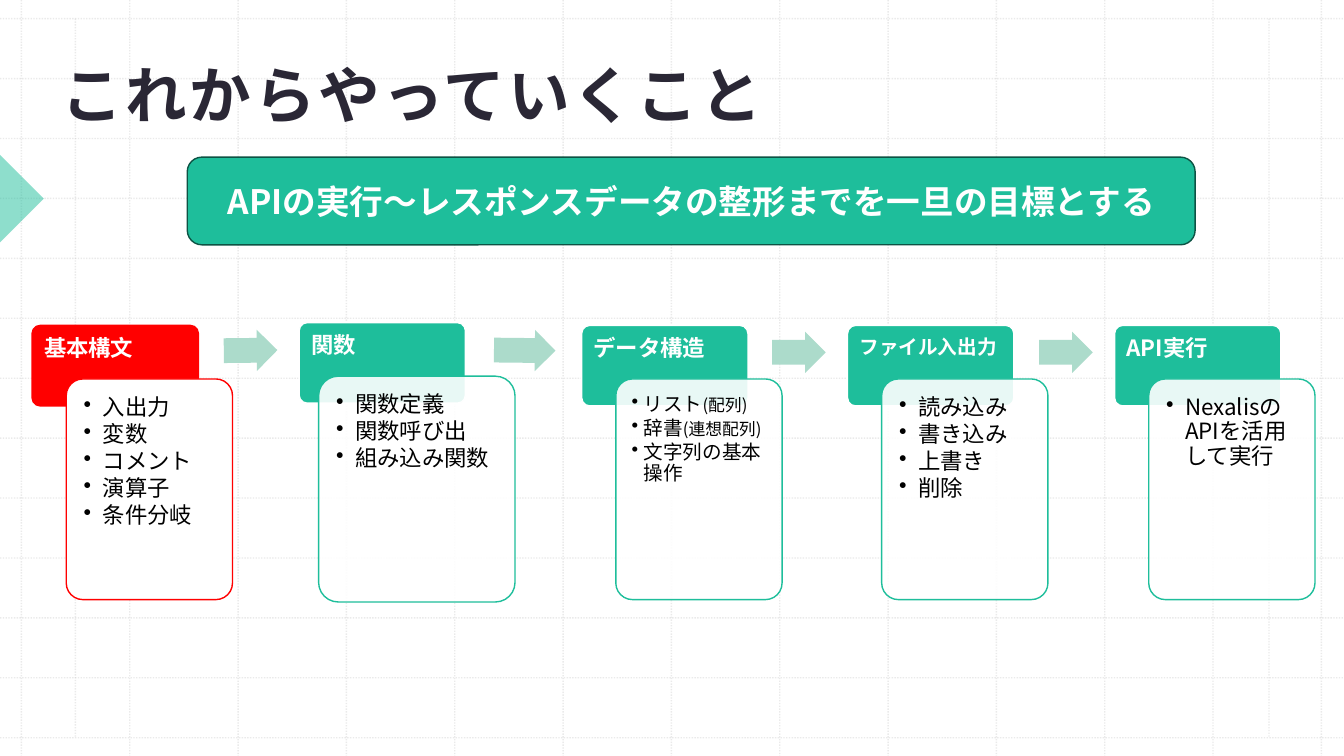
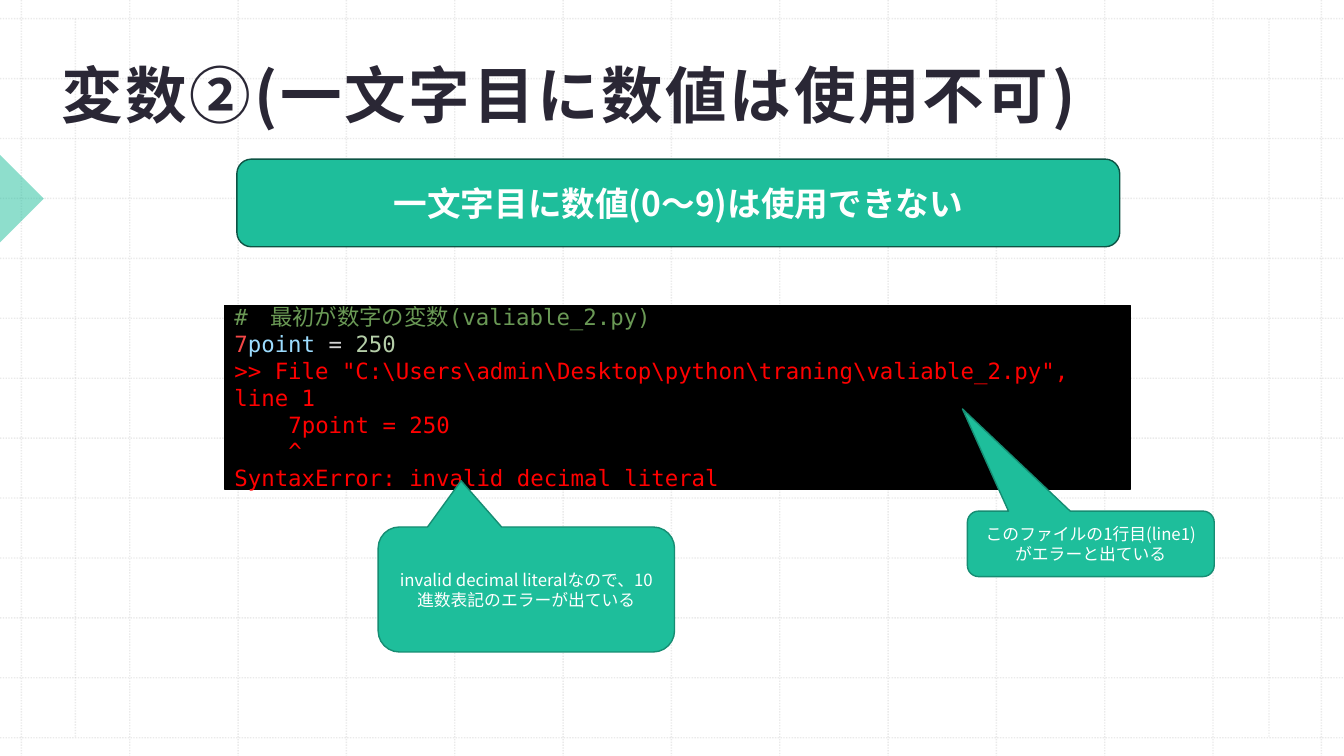
"""Build two Python training slides: the roadmap and a variable naming rule."""
from dataclasses import dataclass
from typing import Optional

import lxml.etree
import pptx
import pptx.dml.color
import pptx.enum.dml
import pptx.enum.shapes
import pptx.enum.text
import pptx.oxml.ns
import pptx.shapes.autoshape
import pptx.slide
import pptx.text.text
import pptx.util

Cm = pptx.util.Cm
Pt = pptx.util.Pt
RGBColor = pptx.dml.color.RGBColor
SHAPE = pptx.enum.shapes.MSO_SHAPE
ALIGN = pptx.enum.text.PP_ALIGN
ANCHOR = pptx.enum.text.MSO_ANCHOR
qn = pptx.oxml.ns.qn

GREEN = RGBColor(0x1E, 0xBE, 0x9B)
DARK_GREEN = RGBColor(0x0D, 0x53, 0x44)
MID_GREEN = RGBColor(0x16, 0x8D, 0x73)
PALE_GREEN = RGBColor(0xAC, 0xDB, 0xCB)
INK = RGBColor(0x2A, 0x27, 0x35)
GRID = RGBColor(0xBC, 0xBC, 0xBC)
WHITE = RGBColor(0xFF, 0xFF, 0xFF)
BLACK = RGBColor(0, 0, 0)
RED = RGBColor(0xFF, 0, 0)
CODE_COMMENT = RGBColor(0x6A, 0x99, 0x55)
CODE_INVALID = RGBColor(0xF4, 0x47, 0x47)
CODE_NAME = RGBColor(0x9C, 0xDC, 0xFE)
CODE_OPERATOR = RGBColor(0xD4, 0xD4, 0xD4)
CODE_NUMBER = RGBColor(0xB5, 0xCE, 0xA8)

FONT = "Noto Sans CJK JP"
MONO = "DejaVu Sans Mono"
WIDTH, HEIGHT = 33.87, 19.05


@dataclass(frozen=True)
class Box:
    """A rectangle in centimetres."""
    x: float
    y: float
    w: float
    h: float

    def inset(self, d: float) -> "Box":
        """Return the box shrunk by d on every side."""
        return Box(self.x + d, self.y + d, self.w - 2 * d, self.h - 2 * d)


@dataclass(frozen=True)
class Span:
    """A piece of text with one format."""
    text: str
    size: float = 16
    color: RGBColor = BLACK
    bold: bool = False
    font: str = FONT


@dataclass(frozen=True)
class Card:
    """A roadmap step: a heading tab and a bullet panel."""
    x: float
    title: str
    items: list[list[Span]]
    y: float = 8.2
    shift: float = 0.86
    w: float = 4.19
    h: float = 5.56
    color: RGBColor = GREEN
    border: RGBColor = WHITE
    alpha: int = 90
    title_size: float = 16
    margin: float = 0.31
    indent: float = 0.48


@dataclass(frozen=True)
class Arrow:
    """An arrow between two steps."""
    x: float
    y: float = 8.36
    w: float = 1.35
    rotation: float = 0


@dataclass(frozen=True)
class Callout:
    """A speech bubble and its pointer adjustments."""
    box: Box
    text: str
    adjust: tuple[float, ...]


def set_alpha(element: lxml.etree.ElementBase, percent: int) -> None:
    """Make the first colour under the element translucent."""
    color = element.find(".//" + qn("a:srgbClr"))
    lxml.etree.SubElement(color, qn("a:alpha")).set("val", str(percent * 1000))


def write(tf: pptx.text.text.TextFrame, lines: list[list[Span]]) -> None:
    """Fill a text frame with paragraphs of formatted spans."""
    tf.word_wrap = True
    for i, spans in enumerate(lines):
        p = tf.paragraphs[0] if i == 0 else tf.add_paragraph()
        p.text = spans[0].text
        for span in spans[1:]:
            p.add_run().text = span.text
        for r, span in zip(p.runs, spans):
            r.font.size = Pt(span.size)
            r.font.bold = span.bold
            r.font.name = span.font
            r.font.color.rgb = span.color
            east = lxml.etree.SubElement(r.font._element, qn("a:ea"))
            east.set("typeface", FONT)


def set_margins(tf: pptx.text.text.TextFrame, side: float, bottom: float) -> None:
    """Set equal left, top and right margins and a separate bottom one."""
    tf.margin_left = tf.margin_top = tf.margin_right = Cm(side)
    tf.margin_bottom = Cm(bottom)


def add_text(s: pptx.slide.Slide, box: Box, lines: list[list[Span]],
             side: float, bottom: float, spacing: float = 0.9) -> pptx.text.text.TextFrame:
    """Add a text box."""
    tf = s.shapes.add_textbox(Cm(box.x), Cm(box.y), Cm(box.w), Cm(box.h)).text_frame
    write(tf, lines)
    set_margins(tf, side, bottom)
    for p in tf.paragraphs:
        p.line_spacing = spacing
    return tf


def add_shape(s: pptx.slide.Slide, kind: SHAPE, box: Box, fill: RGBColor,
              line: Optional[RGBColor] = None, adjust: tuple[float, ...] = (),
              alpha: int = 100) -> pptx.shapes.autoshape.Shape:
    """Add a flat preset shape."""
    sp = s.shapes.add_shape(kind, Cm(box.x), Cm(box.y), Cm(box.w), Cm(box.h))
    sp.shadow.inherit = False
    sp.fill.solid()
    sp.fill.fore_color.rgb = fill
    if alpha < 100:
        set_alpha(sp._element.spPr, alpha)
    if line is None:
        sp.line.fill.background()
    else:
        sp.line.color.rgb = line
        sp.line.width = Pt(1)
    for i, value in enumerate(adjust):
        sp.adjustments[i] = value
    return sp


def add_label(sp: pptx.shapes.autoshape.Shape, span: Span) -> None:
    """Centre one line of text in a shape."""
    write(sp.text_frame, [[span]])
    sp.text_frame.vertical_anchor = ANCHOR.MIDDLE
    sp.text_frame.paragraphs[0].alignment = ALIGN.CENTER


def add_grid_line(s: pptx.slide.Slide, x1: float, y1: float, x2: float, y2: float) -> None:
    """Add one dotted background line."""
    line = s.shapes.add_connector(pptx.enum.shapes.MSO_CONNECTOR.STRAIGHT,
                                  Cm(x1), Cm(y1), Cm(x2), Cm(y2))
    line.line.color.rgb = GRID
    line.line.width = Pt(1)
    line.line.dash_style = pptx.enum.dml.MSO_LINE.ROUND_DOT
    set_alpha(line._element.spPr, 30)
    lxml.etree.SubElement(line._element.spPr, qn("a:effectLst"))


def add_page(prs: pptx.presentation.Presentation, title: str, banner: str,
             banner_box: Box) -> pptx.slide.Slide:
    """Add a slide with the grid, side marker, title and banner."""
    s = prs.slides.add_slide(prs.slide_layouts[6])
    s.background.fill.solid()
    s.background.fill.fore_color.rgb = WHITE
    for i in range(13):
        x, y = 0.54 + 2.73 * i, 0.47 + 1.51 * i
        add_grid_line(s, x, 0, x, HEIGHT)
        add_grid_line(s, 0, y, WIDTH, y)
    for x in (1.9, 31.98):
        add_grid_line(s, x, 0.47, x, 18.57)
    marker = add_shape(s, SHAPE.RIGHT_TRIANGLE, Box(-0.79, 4.22, 1.57, 1.57), GREEN, alpha=50)
    marker.rotation = 225
    tf = add_text(s, Box(1.24, 1.19, 28.68, 2.36), [[Span(title, 44, INK, True)]],
                  0.31, 0.25, 1.13)
    tf.vertical_anchor = ANCHOR.BOTTOM
    tf.paragraphs[0].runs[0].font._element.set("spc", "190")
    sp = add_shape(s, SHAPE.ROUNDED_RECTANGLE, banner_box, GREEN, DARK_GREEN)
    add_label(sp, Span(banner, 24, WHITE, True))
    return s


def add_card(s: pptx.slide.Slide, card: Card) -> None:
    """Draw one roadmap step."""
    tab = Box(card.x, card.y, 4.19, 2.03)
    panel = Box(card.x + card.shift, card.y + 1.35, card.w, card.h)
    add_shape(s, SHAPE.ROUNDED_RECTANGLE, tab, card.color, card.border, (0.1,))
    add_text(s, Box(tab.x, tab.y, tab.w, 1.35),
             [[Span(card.title, card.title_size, WHITE, True)]], 0.3, 0.17)
    add_shape(s, SHAPE.ROUNDED_RECTANGLE, panel, WHITE, card.color, (0.1,), card.alpha)
    tf = add_text(s, panel.inset(0.13), card.items, card.margin, card.margin)
    for p in tf.paragraphs:
        p.space_after = Pt(2)
        pPr = p._p.get_or_add_pPr()
        pPr.set("marL", str(Cm(card.indent)))
        pPr.set("indent", str(-Cm(card.indent)))
        lxml.etree.SubElement(pPr, qn("a:buChar")).set("char", "•")


def bullets(*texts: str) -> list[list[Span]]:
    """Turn plain texts into bullet paragraphs."""
    return [[Span(text)] for text in texts]


def code(text: str, color: RGBColor = RED) -> Span:
    """Return a span of program text."""
    return Span(text, color=color, font=MONO)


CARDS = [
    Card(0.81, "基本構文", bullets("入出力", "変数", "コメント", "演算子", "条件分岐"),
         color=RED, border=RED, alpha=100),
    Card(7.54, "関数", bullets("関数定義", "関数呼び出", "組み込み関数"),
         y=8.13, shift=0.49, w=4.95, h=5.69),
    Card(14.66, "データ構造",
         [[Span("リスト", 14), Span("(配列)", 12)],
          [Span("辞書", 14), Span("(連想配列)", 12)],
          [Span("文字列の基本操作", 14)]], margin=0.27, indent=0.3),
    Card(21.36, "ファイル入出力", bullets("読み込み", "書き込み", "上書き", "削除"),
         title_size=14),
    Card(28.09, "API実行", bullets("NexalisのAPIを活用して実行")),
]
ARROWS = [Arrow(5.64, 8.31, rotation=-0.6), Arrow(12.45, 8.31, 1.55, 0.6),
          Arrow(19.46), Arrow(26.19)]
CODE = [
    [code("#\u3000最初が数字の変数(valiable_2.py)", CODE_COMMENT)],
    [code("7", CODE_INVALID), code("point", CODE_NAME), code(" = ", CODE_OPERATOR),
     code("250", CODE_NUMBER)],
    [code(">> File \"C:\\Users\\admin\\Desktop\\python\\traning\\valiable_2.py\", line 1")],
    [code("7point = 250")],
    [code("^")],
    [code("SyntaxError: invalid decimal literal")],
]
INDENTED_CODE = (3, 4)
CALLOUTS = [
    Callout(Box(24.38, 12.88, 6.22, 1.65), "このファイルの1行目(line1)がエラーと出ている",
            (-0.52, -2.06, 0.17)),
    Callout(Box(9.53, 13.28, 7.47, 3.15),
            "invalid decimal literalなので、10進数表記のエラーが出ている", (-0.22, -0.87, 0.17)),
]


def main() -> None:
    """Build and save the presentation."""
    prs = pptx.Presentation()
    prs.slide_width, prs.slide_height = Cm(WIDTH), Cm(HEIGHT)

    s = add_page(prs, "これからやっていくこと", "APIの実行～レスポンスデータの整形までを一旦の目標とする",
                 Box(4.72, 3.96, 25.4, 2.21))
    for card in CARDS:
        add_card(s, card)
    for arrow in ARROWS:
        sp = add_shape(s, SHAPE.RIGHT_ARROW, Box(arrow.x, arrow.y, arrow.w, 1.04),
                       PALE_GREEN, adjust=(0.6, 0.5))
        sp.rotation = arrow.rotation

    s = add_page(prs, "変数②(一文字目に数値は使用不可)", "一文字目に数値(0～9)は使用できない",
                 Box(5.97, 4.01, 22.25, 2.21))
    sp = add_shape(s, SHAPE.RECTANGLE, Box(5.66, 7.7, 22.83, 4.62), BLACK, BLACK)
    write(sp.text_frame, CODE)
    sp.text_frame.vertical_anchor = ANCHOR.MIDDLE
    for i, p in enumerate(sp.text_frame.paragraphs):
        p.alignment = ALIGN.LEFT
        if i in INDENTED_CODE:
            p._p.get_or_add_pPr().set("marL", str(Cm(1.36)))
    for callout in CALLOUTS:
        sp = add_shape(s, SHAPE.ROUNDED_RECTANGULAR_CALLOUT, callout.box, GREEN, MID_GREEN,
                       callout.adjust)
        add_label(sp, Span(callout.text, 12, WHITE))

    prs.save("out.pptx")


main()
